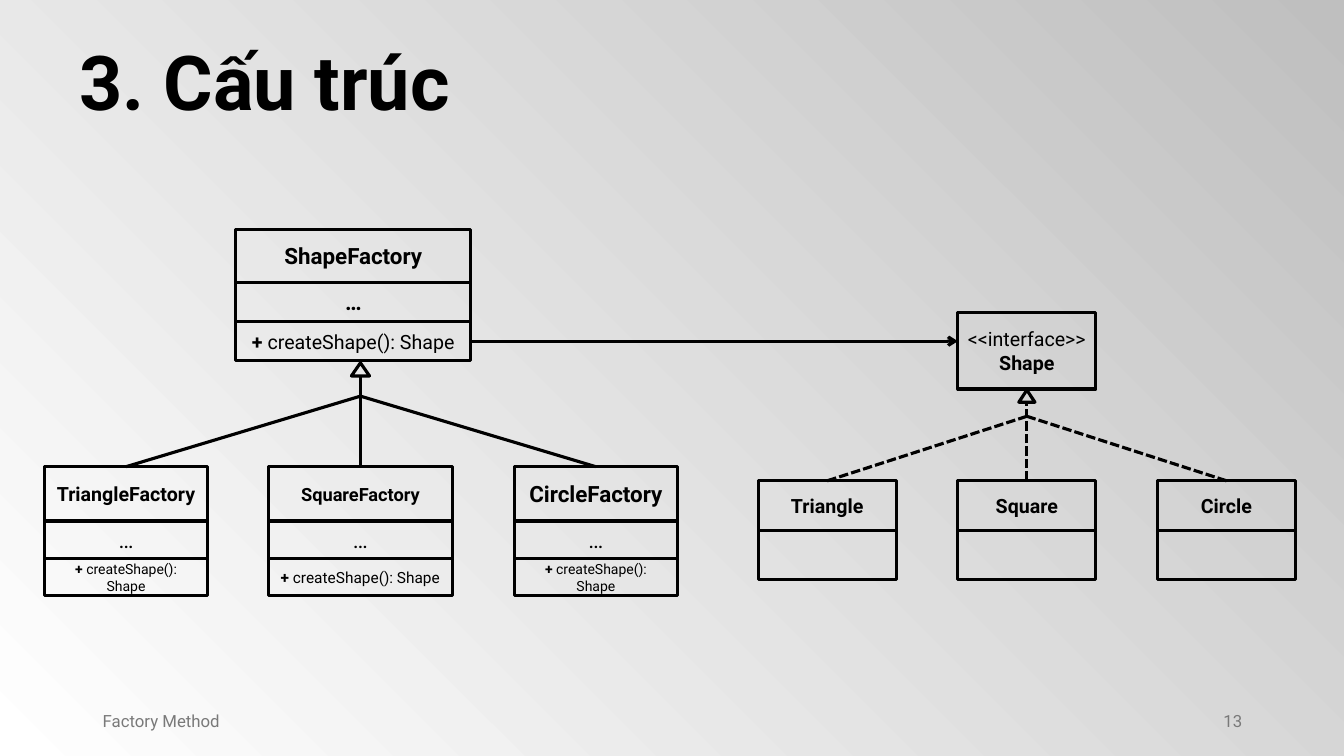
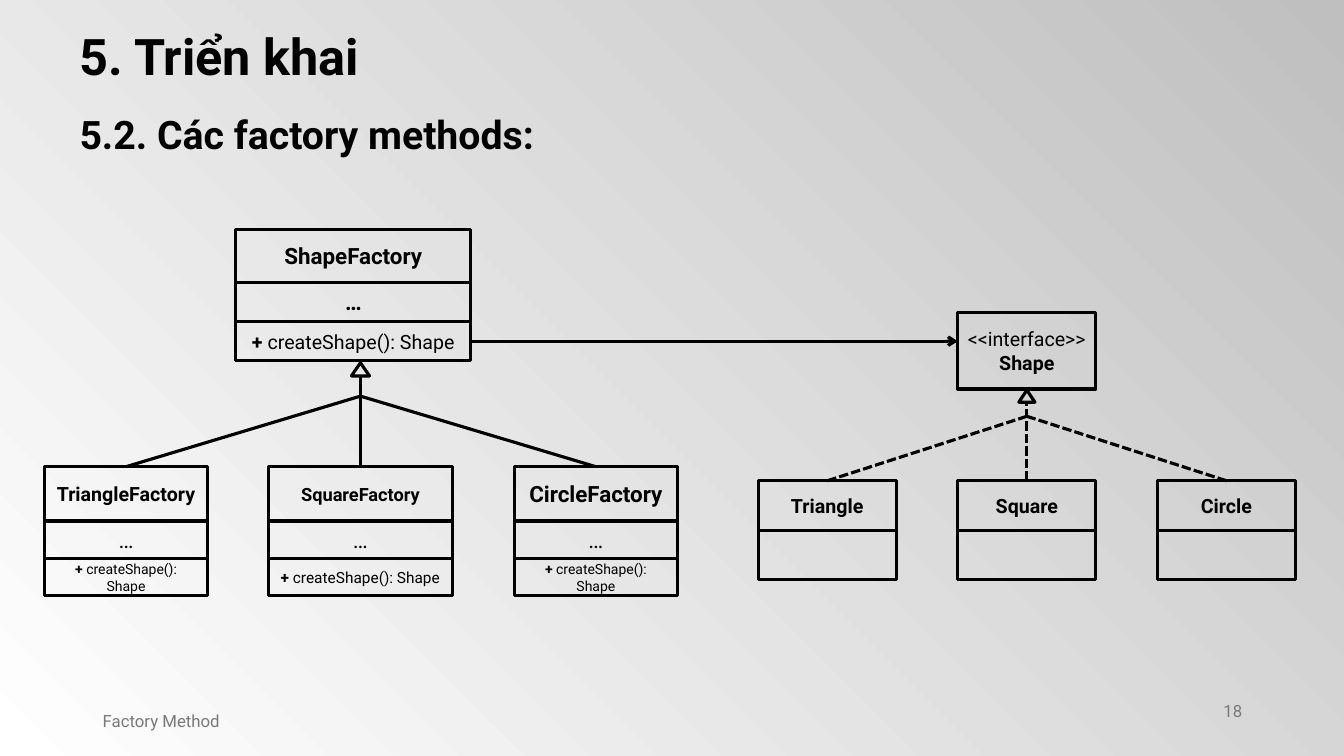
from lxml import etree
from pptx import Presentation
from pptx.dml.color import RGBColor
from pptx.enum.dml import MSO_LINE
from pptx.enum.shapes import MSO_CONNECTOR, MSO_SHAPE
from pptx.enum.text import MSO_ANCHOR, PP_ALIGN
from pptx.oxml.ns import qn
from pptx.util import Inches, Pt

BLACK = RGBColor(0x00, 0x00, 0x00)
WHITE = RGBColor(0xFF, 0xFF, 0xFF)
SILVER = RGBColor(0xBF, 0xBF, 0xBF)
GRAY = RGBColor(0x79, 0x79, 0x79)
FONT = "Roboto"
LINE_WIDTH = Pt(2.25)
LEFT, CENTER, RIGHT = PP_ALIGN.LEFT, PP_ALIGN.CENTER, PP_ALIGN.RIGHT
TOP, MIDDLE = MSO_ANCHOR.TOP, MSO_ANCHOR.MIDDLE
RECTANGLE, TRIANGLE = MSO_SHAPE.RECTANGLE, MSO_SHAPE.ISOSCELES_TRIANGLE
STRAIGHT = MSO_CONNECTOR.STRAIGHT
DASH = MSO_LINE.SQUARE_DOT
TOP_SIDE, RIGHT_SIDE = 0, 3

# Each compartment: height, text size, lines of (text, bold)
OPERATION = [("+ createShape(): Shape", False)]
EMPTY = (0.49, 14, [])


def factory_rows(name, name_size, operation_size):
    return [(0.54, name_size, [(name, True)]),
            (0.37, 16, [("…", False)]),
            (0.37, operation_size, OPERATION)]


# Class name: left, top, width, compartments
CLASSES = {
    "Shape": (9.5, 3.1, 1.37, [(0.76, 14, [("<<interface>>", False), ("Shape", True)])]),
    "ShapeFactory": (2.34, 2.28, 2.33, [(0.52, 16, [("ShapeFactory", True)]),
                                        (0.39, 16, [("…", True)]),
                                        (0.39, 14, OPERATION)]),
    "TriangleFactory": (0.44, 4.63, 1.62, factory_rows("TriangleFactory", 14, 10)),
    "SquareFactory": (2.66, 4.63, 1.83, factory_rows("SquareFactory", 13, 11)),
    "CircleFactory": (5.1, 4.63, 1.62, factory_rows("CircleFactory", 16, 10)),
}
for column, name in enumerate(["Triangle", "Square", "Circle"]):
    CLASSES[name] = (7.52 + 1.98 * column, 4.77, 1.37, [(0.49, 14, [(name, True)]), EMPTY])

# Middle child, outer children, junction y, arrowhead top, width, height, dash
INHERITANCES = [
    ("SquareFactory", ["TriangleFactory", "CircleFactory"], 3.93, 3.6, 0.18, 0.13, None),
    ("Square", ["Triangle", "Circle"], 4.13, 3.87, 0.16, 0.12, DASH),
]

# Headings (left, top, width, height, text, size), page number and its top
SLIDES = [
    ([(0.69, 0.3, 8.92, 1.01, "3. Cấu trúc", 54)], "13", 6.95),
    ([(0.69, 0.2, 8.1, 0.71, "5. Triển khai", 36),
      (0.69, 1.05, 8.92, 0.57, "5.2. Các factory methods:", 28)], "18", 6.85),
]


def write(shape, lines, size, color=BLACK, alignment=LEFT, anchor=MIDDLE):
    """Fill a shape with lines of (text, bold); a leading plus sign is always bold."""
    frame = shape.text_frame
    frame.word_wrap = True
    frame.vertical_anchor = anchor
    for index, (text, bold) in enumerate(lines):
        paragraph = frame.add_paragraph() if index else frame.paragraphs[0]
        paragraph.alignment = alignment
        paragraph.font.name = FONT
        paragraph.font.size = Pt(size)
        paragraph.font.color.rgb = color
        paragraph.font.bold = bold
        if text.startswith("+ "):
            plus = paragraph.add_run()
            plus.text = "+ "
            plus.font.bold = True
            text = text[2:]
        paragraph.add_run().text = text


def connect(slide, box, side, end_x, end_y, dash=None):
    """Draw a line from the middle of a box's side to a point."""
    connector = slide.shapes.add_connector(STRAIGHT, box.left, box.top, end_x, end_y)
    connector.begin_connect(box, side)
    connector.line.color.rgb = BLACK
    connector.line.width = LINE_WIDTH
    if dash:
        connector.line.dash_style = dash
    etree.SubElement(connector._element.spPr, qn("a:effectLst"))
    return connector


presentation = Presentation()
presentation.slide_width = Inches(13.33)
presentation.slide_height = Inches(7.5)
background = presentation.slide_master.background.fill
background.gradient()
background.gradient_angle = 45
for stop, color in zip(background.gradient_stops, [WHITE, SILVER]):
    stop.color.rgb = color

for headings, page_number, number_top in SLIDES:
    slide = presentation.slides.add_slide(presentation.slide_layouts[6])
    shapes = slide.shapes

    for left, top, width, height, text, size in headings:
        heading = shapes.add_textbox(Inches(left), Inches(top), Inches(width), Inches(height))
        write(heading, [(text, True)], size, anchor=TOP)

    boxes = {}
    for name, (left, top, width, rows) in CLASSES.items():
        boxes[name] = []
        for height, size, lines in rows:
            box = shapes.add_shape(RECTANGLE, Inches(left), Inches(top),
                                   Inches(width), Inches(height))
            box.shadow.inherit = False
            box.fill.background()
            box.line.color.rgb = BLACK
            box.line.width = LINE_WIDTH
            write(box, lines, size, alignment=CENTER)
            boxes[name].append(box)
            top += height
    interface = boxes["Shape"][0]
    interface.text_frame.word_wrap = False

    for middle, outer, junction_y, head_top, head_width, head_height, dash in INHERITANCES:
        child = boxes[middle][0]
        center = child.left + child.width // 2
        connect(slide, child, TOP_SIDE, center, Inches(head_top + head_height), dash)
        for name in outer:
            connect(slide, boxes[name][0], TOP_SIDE, center, Inches(junction_y), dash)
        head = shapes.add_shape(TRIANGLE, center - Inches(head_width / 2), Inches(head_top),
                                Inches(head_width), Inches(head_height))
        head.shadow.inherit = False
        head.fill.background()
        head.line.color.rgb = BLACK
        head.line.width = LINE_WIDTH

    operation = boxes["ShapeFactory"][-1]
    arrow = connect(slide, operation, RIGHT_SIDE, interface.left,
                    operation.top + operation.height // 2)
    etree.SubElement(arrow.line._get_or_add_ln(), qn("a:tailEnd"), type="arrow")

    for left, top, text, alignment in [(0.92, 6.95, "Factory Method", LEFT),
                                       (9.42, number_top, page_number, RIGHT)]:
        footer = shapes.add_textbox(Inches(left), Inches(top), Inches(3), Inches(0.4))
        write(footer, [(text, False)], 12, GRAY, alignment)

presentation.save("out.pptx")
